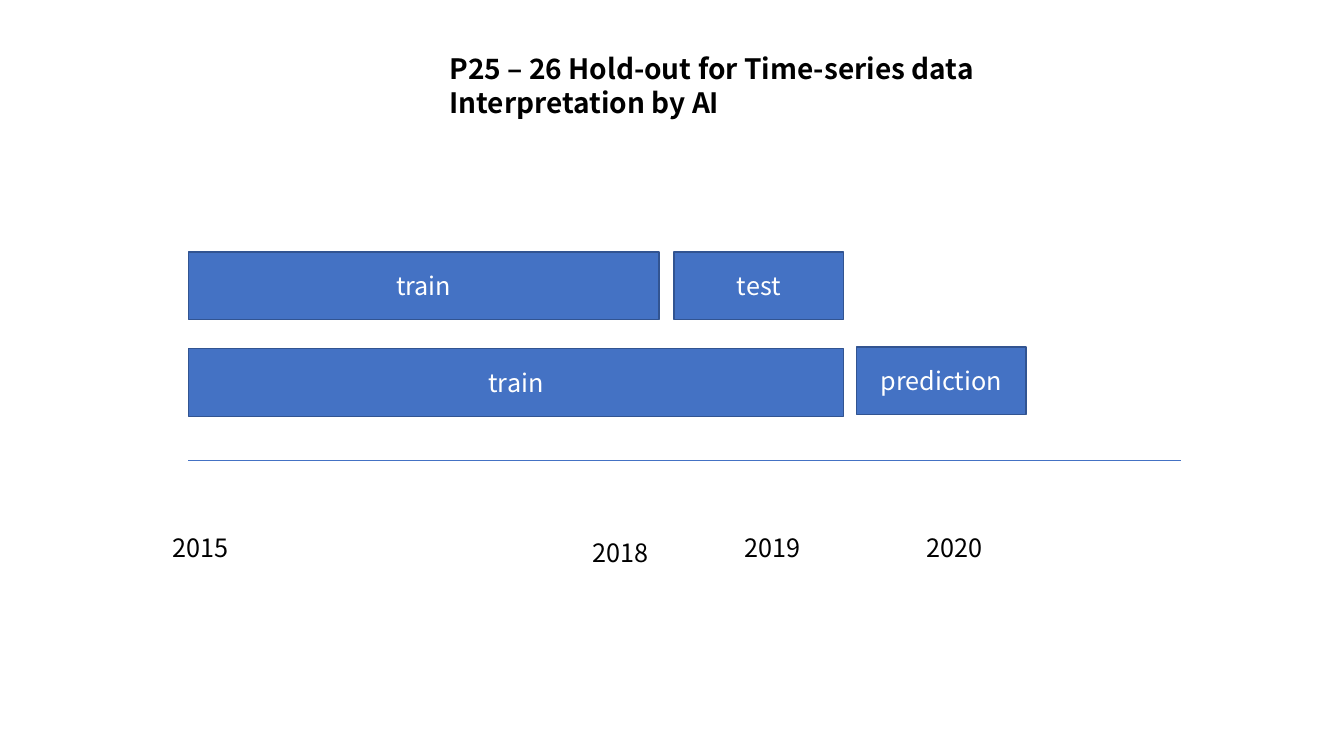
from pptx import Presentation
from pptx import util as u
from pptx.dml.color import RGBColor
from pptx.enum import shapes, text
from pptx.oxml.ns import qn
from lxml import etree

BLUE = RGBColor(0x44, 0x72, 0xC4)
EDGE = RGBColor(0x32, 0x54, 0x91)
WHITE = RGBColor(0xFF, 0xFF, 0xFF)
BLACK = RGBColor(0, 0, 0)
FONT = "Noto Sans CJK JP"


def set_attrs(obj, values):
    """Set every attribute in values on obj."""
    for name, value in values.items():
        setattr(obj, name, value)


def write(tf, lines, size, color, bold, align, frame):
    """Fill a text frame with one formatted paragraph per line."""
    set_attrs(tf, frame)
    tf.text = "\n".join(lines)
    for p in tf.paragraphs:
        p.alignment = align
        for r in p.runs:
            set_attrs(r.font, {"name": FONT, "size": u.Pt(size), "bold": bold})
            r.font.color.rgb = color


def add_title(slide, box, lines):
    """Place the title placeholder in the box and write its lines."""
    sp = slide.shapes.title
    set_attrs(sp, dict(zip(("left", "top", "width", "height"), map(u.Cm, box))))
    write(sp.text_frame, lines, 20, BLACK, True, text.PP_ALIGN.LEFT,
          {"word_wrap": False, "auto_size": text.MSO_AUTO_SIZE.NONE,
           "vertical_anchor": text.MSO_ANCHOR.TOP})


def add_splits(slide, box, bars):
    """Draw the labelled data periods, offset from the box corner."""
    left, top, height = box
    for label, dx, dy, width in bars:
        sp = slide.shapes.add_shape(
            shapes.MSO_SHAPE.RECTANGLE,
            *map(u.Cm, (left + dx, top + dy, width, height)))
        sp.shadow.inherit = False
        sp.fill.solid()
        sp.fill.fore_color.rgb = BLUE
        sp.line.color.rgb = EDGE
        sp.line.width = u.Pt(1)
        write(sp.text_frame, [label], 18, WHITE, False, text.PP_ALIGN.CENTER,
              {"vertical_anchor": text.MSO_ANCHOR.MIDDLE})


def add_timeline(slide, box, years):
    """Draw the time axis along the box top with year labels below."""
    left, top, width = box
    axis = slide.shapes.add_connector(
        shapes.MSO_CONNECTOR.STRAIGHT,
        *map(u.Cm, (left, top, left + width, top)))
    axis.line.color.rgb = BLUE
    axis.line.width = u.Pt(0.5)
    etree.SubElement(axis._element.spPr, qn("a:effectLst"))
    for year, dx, dy in years:
        sp = slide.shapes.add_textbox(
            *map(u.Cm, (left + dx, top + dy, 1.93, 1.02)))
        write(sp.text_frame, [year], 18, BLACK, False, text.PP_ALIGN.LEFT,
              {"word_wrap": False,
               "auto_size": text.MSO_AUTO_SIZE.SHAPE_TO_FIT_TEXT})


def main():
    """Build and save the slide."""
    prs = Presentation()
    set_attrs(prs, {"slide_width": u.Cm(33.87), "slide_height": u.Cm(19.05)})
    slide = prs.slides.add_slide(prs.slide_layouts[5])
    add_title(slide, (11.07, 1.17, 13.92, 1.96),
              ["P25 – 26 Hold-out for Time-series data", "Interpretation by AI"])
    add_splits(slide, (4.75, 6.35, 1.7),
               [("train", 0, 0, 11.86), ("test", 12.24, 0, 4.27),
                ("train", 0, 2.44, 16.51), ("prediction", 16.84, 2.39, 4.27)])
    add_timeline(slide, (4.75, 11.61, 25.02),
                 [("2015", -0.66, 1.67), ("2018", 9.93, 1.8),
                  ("2019", 13.77, 1.67), ("2020", 18.36, 1.67)])
    prs.save("out.pptx")


main()
